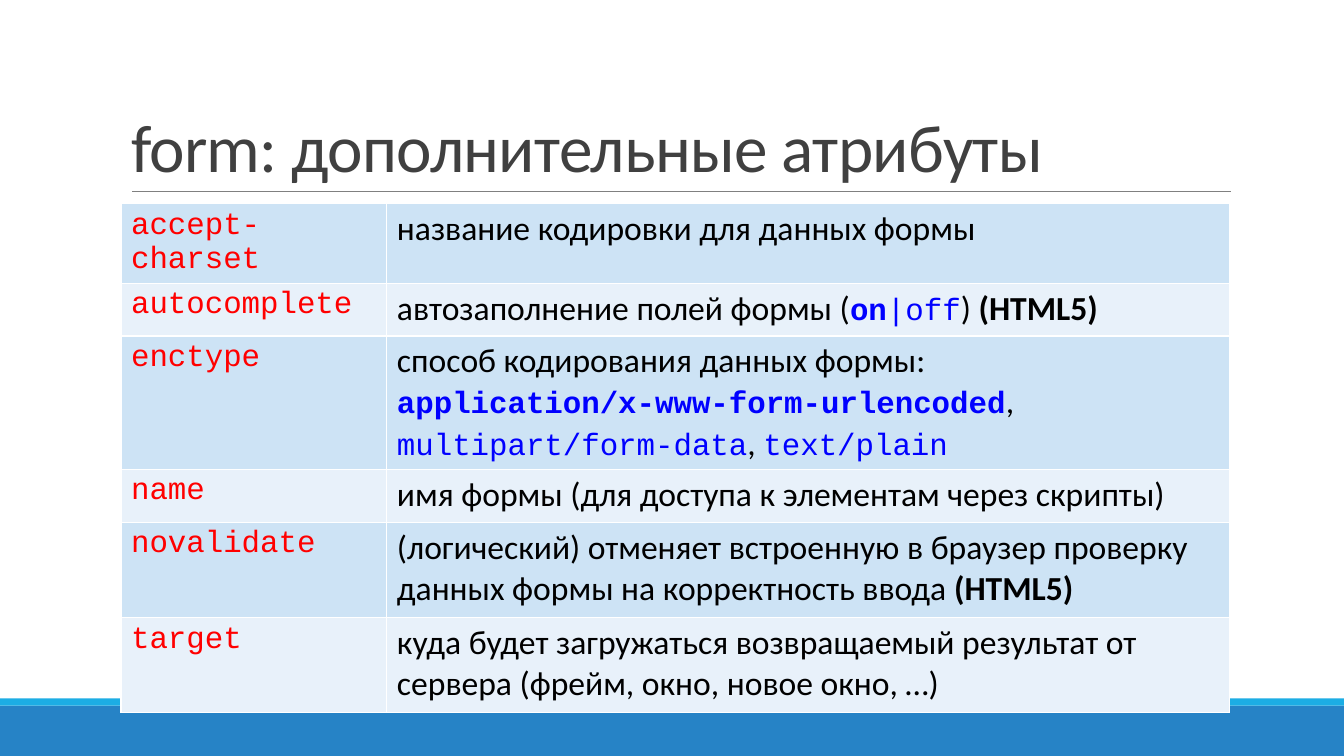
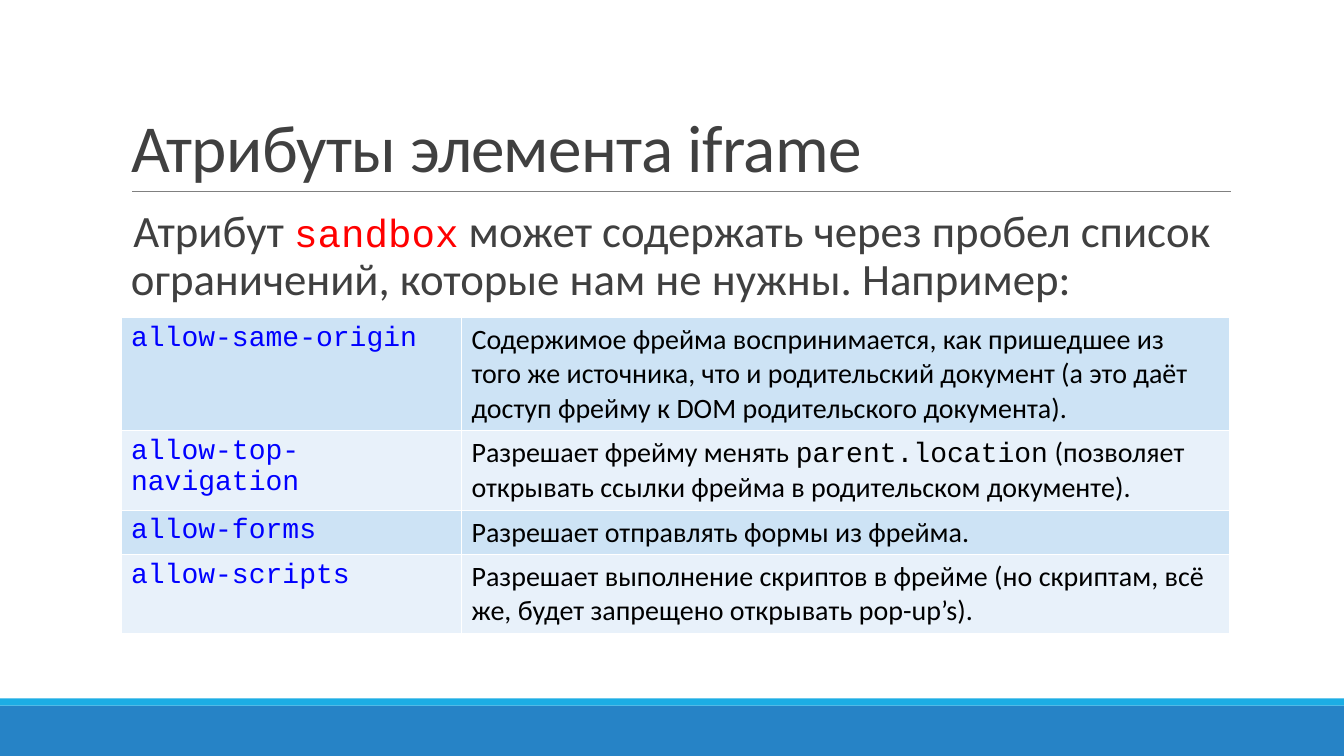
import pptx
import pptx.util
import pptx.dml.color
import pptx.enum.shapes
import pptx.enum.text
import pptx.oxml
import pptx.oxml.ns

Cm = pptx.util.Cm
Pt = pptx.util.Pt

HEX = {
    "band": "2683C6", "strip": "1CADE4", "rule": "808080", "head": "404040",
    "red": "FF0000", "blue": "0000FF", "black": "000000", "white": "FFFFFF",
    "odd": "CDE3F5", "even": "E8F1FA",
}
SANS, MONO = "Calibri", "Courier New"

# Text styles: font, colour, bold
STYLE = {
    "head": (SANS, "head", False),
    "text": (SANS, "black", False),
    "bold": (SANS, "black", True),
    "code": (MONO, "black", False),
    "key": (MONO, "red", False),
    "value": (MONO, "blue", False),
    "preset": (MONO, "blue", True),
}

# Shared page measures
WIDE, HIGH = Cm(33.87), Cm(19.05)
LEFT, SPAN = Cm(3.05), Cm(27.94)
TITLE = (LEFT, Cm(0.79), SPAN, Cm(4.04))
BODY = (LEFT, Cm(5.13), SPAN, Cm(11.2))


def rgb(name):
    return pptx.dml.color.RGBColor.from_string(HEX[name])


def node(xml):
    return pptx.oxml.parse_xml(xml.replace(
        " ", " " + pptx.oxml.ns.nsdecls("a") + " ", 1))


def place(shape, box):
    shape.left, shape.top, shape.width, shape.height = box


def write(para, runs, sizes):
    """Add (style, text) runs; sizes maps each font to points."""
    for style, text in runs:
        face, tint, bold = STYLE[style]
        run = para.add_run()
        run.text = text
        font = run.font
        font.name, font.size, font.bold = face, Pt(sizes[face]), bold
        font.color.rgb = rgb(tint)


def bar(slide, box, tint):
    shape = slide.shapes.add_shape(
        pptx.enum.shapes.MSO_SHAPE.RECTANGLE, *box)
    shape.shadow.inherit = False
    shape.fill.solid()
    shape.fill.fore_color.rgb = rgb(tint)
    shape.line.fill.background()
    return shape


def rule(slide, left, right, top):
    line = slide.shapes.add_connector(
        pptx.enum.shapes.MSO_CONNECTOR.STRAIGHT, left, top, right, top)
    line.line.color.rgb = rgb("rule")
    line.line.width = Pt(0.5)
    line.element.spPr.append(node("<a:effectLst />"))
    return line


def frame(deck, slide):
    """Draw the bands and title rule, then move them to the master."""
    parts = [
        bar(slide, (0, Cm(17.78), WIDE, HIGH - Cm(17.78)), "band"),
        bar(slide, (0, Cm(17.6), WIDE, Cm(0.18)), "strip"),
        rule(slide, Cm(3.33), Cm(31.01), Cm(4.83)),
    ]
    tree = deck.slide_master.shapes.element
    for i, part in enumerate(parts):
        part.element.xpath(".//p:cNvPr")[0].set("id", str(101 + i))
        tree.insert(2 + i, part.element)


def title(slide, text, box):
    shape = slide.shapes.title
    place(shape, box)
    area = shape.text_frame
    area.auto_size = pptx.enum.text.MSO_AUTO_SIZE.NONE
    area.vertical_anchor = pptx.enum.text.MSO_ANCHOR.BOTTOM
    para = area.paragraphs[0]
    para.alignment = pptx.enum.text.PP_ALIGN.LEFT
    para.line_spacing = 0.85
    write(para, [("head", text)], {SANS: 48})
    para.runs[0].font._element.set("spc", "-50")


def body(slide, runs, box, sizes):
    shape = slide.placeholders[1]
    place(shape, box)
    area = shape.text_frame
    area.auto_size = pptx.enum.text.MSO_AUTO_SIZE.NONE
    area.margin_left = area.margin_right = 0
    para = area.paragraphs[0]
    para.line_spacing = 0.9
    para.space_before, para.space_after = Pt(12), Pt(2)
    # Blank bullet with a hanging indent
    props = para._p.get_or_add_pPr()
    props.set("marL", str(Cm(0.25)))
    props.set("indent", str(-Cm(0.25)))
    props.append(node(
        f'<a:buClr ><a:srgbClr val="{HEX["strip"]}"/></a:buClr>'))
    props.append(node('<a:buChar char=" "/>'))
    write(para, runs, sizes)


def edge(cell):
    props = cell._tc.get_or_add_tcPr()
    for i, side in enumerate("LRTB"):
        props.insert(i, node(
            f'<a:ln{side} w="{Pt(1)}"><a:solidFill><a:srgbClr '
            f'val="{HEX["white"]}"/></a:solidFill></a:ln{side}>'))


def table(slide, rows, box, split, highs, sizes):
    """Each row is a list of cells, each cell a list of paragraphs."""
    left, top, wide = box
    grid = slide.shapes.add_table(
        len(rows), 2, left, top, wide, sum(highs)).table
    grid.first_row = grid.horz_banding = False
    grid.columns[0].width, grid.columns[1].width = split, wide - split
    for r, (row, high) in enumerate(zip(rows, highs)):
        grid.rows[r].height = high
        for c, paras in enumerate(row):
            cell = grid.cell(r, c)
            cell.fill.solid()
            cell.fill.fore_color.rgb = rgb("even" if r % 2 else "odd")
            edge(cell)
            area = cell.text_frame
            for i, runs in enumerate(paras):
                para = area.add_paragraph() if i else area.paragraphs[0]
                write(para, runs, sizes)


def pair(style, name, *paras):
    return [[[(style, name)]], paras]


FORM = [
    pair("key", "accept-charset",
         [("text", "название кодировки для данных формы")]),
    pair("key", "autocomplete",
         [("text", "автозаполнение полей формы ("), ("preset", "on"),
          ("value", "|off"), ("text", ")"), ("bold", " (HTML5)")]),
    pair("key", "enctype",
         [("text", "способ кодирования данных формы:")],
         [("preset", "application/x-www-form-urlencoded"), ("text", ", "),
          ("value", "multipart/form-data"), ("text", ", "),
          ("value", "text/plain")]),
    pair("key", "name",
         [("text", "имя формы (для доступа к элементам через скрипты)")]),
    pair("key", "novalidate",
         [("text", "(логический) отменяет встроенную в браузер проверку "
                   "данных формы на корректность ввода "),
          ("bold", "(HTML5)")]),
    pair("key", "target",
         [("text", "куда будет загружаться возвращаемый результат от "
                   "сервера (фрейм, окно, новое окно, …)")]),
]

SANDBOX = [
    pair("value", "allow-same-origin",
         [("text", "Содержимое фрейма воспринимается, как пришедшее из "
                   "того же источника, что и родительский документ (а это "
                   "даёт доступ фрейму к DOM родительского документа).")]),
    pair("value", "allow-top-navigation",
         [("text", "Разрешает фрейму менять "), ("code", "parent.location"),
          ("text", " (позволяет открывать ссылки фрейма в родительском "
                   "документе).")]),
    pair("value", "allow-forms",
         [("text", "Разрешает отправлять формы из фрейма.")]),
    pair("value", "allow-scripts",
         [("text", "Разрешает выполнение скриптов в фрейме (но скриптам, "
                   "всё же, будет запрещено открывать pop-up’s).")]),
]

INTRO = [
    ("head", "Атрибут "), ("key", "sandbox"),
    ("head", " может содержать через пробел список ограничений, которые "
             "нам не нужны. Например:"),
]


def form(deck):
    slide = deck.slides.add_slide(deck.slide_layouts[5])
    title(slide, "form: дополнительные атрибуты", TITLE)
    low, tall = Cm(1.33), Cm(2.4)
    table(slide, FORM, BODY[:3], Cm(6.7),
          [low, low, tall, low, tall, tall], {SANS: 24, MONO: 22})
    return slide


def iframe(deck):
    slide = deck.slides.add_slide(deck.slide_layouts[1])
    title(slide, "Атрибуты элемента iframe", TITLE)
    body(slide, INTRO, BODY, {SANS: 32, MONO: 28})
    left, top, wide, _ = BODY
    table(slide, SANDBOX, (left, top + Cm(2.88), wide), Cm(8.58),
          [Cm(1.03)] * len(SANDBOX), {SANS: 20, MONO: 20})


def main():
    deck = pptx.Presentation()
    deck.slide_width, deck.slide_height = WIDE, HIGH
    first = form(deck)
    frame(deck, first)
    iframe(deck)
    deck.save("out.pptx")


if __name__ == "__main__":
    main()
